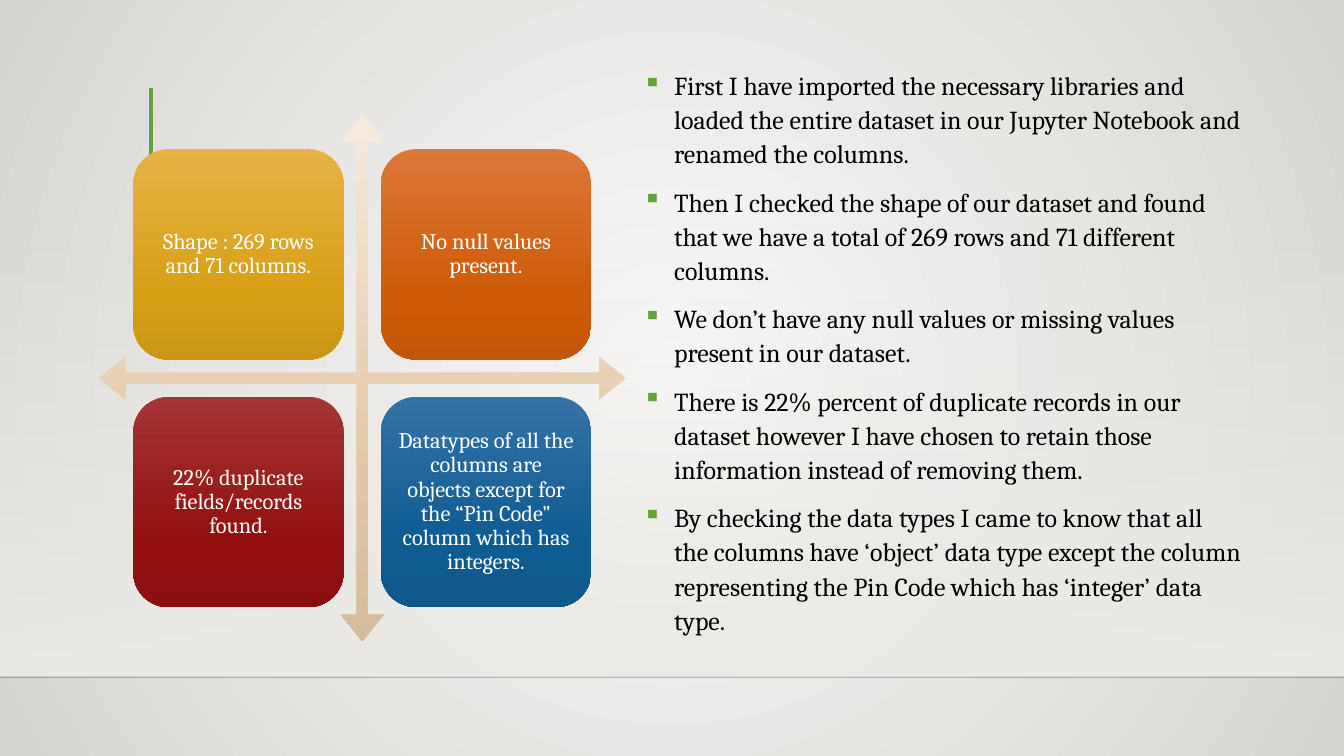
from dataclasses import dataclass

from lxml import etree
from pptx import Presentation
from pptx.dml.color import RGBColor
from pptx.enum.shapes import MSO_CONNECTOR, MSO_SHAPE
from pptx.enum.text import MSO_ANCHOR, PP_ALIGN
from pptx.oxml import parse_xml
from pptx.oxml.ns import nsdecls, qn
from pptx.util import Cm, Pt

COLORS = {
    "accent": "5FA534", "horizon": "000001", "body": "000000", "card_text": "FFFFFF",
    "glow": "FAFAF9", "edge": "D7D5D2", "wall": "EDEBE7",
    "arrow_light": "F7EBDC", "arrow_mid": "E2C7A4", "arrow_dark": "D4BD9E",
    "gold_light": "E6B445", "gold_mid": "D79F16", "gold_dark": "CA9616",
    "orange_light": "DC7739", "orange_mid": "CE5B08", "orange_dark": "C35707",
    "red_light": "A53535", "red_mid": "930F0F", "red_dark": "8B0F0F",
    "blue_light": "3572A5", "blue_mid": "0F5C93", "blue_dark": "0F588B",
}
FONT = "Cambria"
DOWNWARD = '<a:lin ang="5400000" scaled="0"/>'
FROM_CENTRE = ('<a:path path="circle"><a:fillToRect l="50000" t="50000" '
               'r="50000" b="50000"/></a:path>')
CARD_SIZE, CARD_PITCH = 5.3, 6.24
CARDS_LEFT, CARDS_TOP = 3.36, 3.76


@dataclass(frozen=True)
class Stop:
    percent: int
    color: str
    opacity: int = 100


@dataclass(frozen=True)
class Card:
    column: int
    row: int
    hue: str
    finding: str


@dataclass(frozen=True)
class Rule:
    start: tuple[float, float]
    end: tuple[float, float]
    color: str
    weight: float
    opacity: int = 100


CARDS = [
    Card(0, 0, "gold", "Shape : 269 rows and 71 columns."),
    Card(1, 0, "orange", "No null values present."),
    Card(0, 1, "red", "22% duplicate fields/records found."),
    Card(1, 1, "blue", "Datatypes of all the columns are objects except for "
                       "the “Pin Code\" column which has integers."),
]
RULES = [
    Rule((0, 17.07), (33.87, 17.07), "horizon", 1, 20),
    Rule((3.81, 2.21), (3.81, 5.18), "accent", 3),
]
STEPS = [
    "First I have imported the necessary libraries and loaded the entire dataset "
    "in our Jupyter Notebook and renamed the columns.",
    "Then I checked the shape of our dataset and found that we have a total of "
    "269 rows and 71 different columns.",
    "We don’t have any null values or missing values present in our dataset.",
    "There is 22% percent of duplicate records in our dataset however I have "
    "chosen to retain those information instead of removing them.",
    "By checking the data types I came to know that all the columns have ‘object’ "
    "data type except the column representing the Pin Code which has ‘integer’ "
    "data type.",
]


def set_attributes(target, values: dict) -> None:
    for name, value in values.items():
        setattr(target, name, value)


def style_font(font, size: float, color: str) -> None:
    set_attributes(font, {"name": FONT, "size": Pt(size)})
    font.color.rgb = RGBColor.from_string(COLORS[color])


def apply_gradient(fill, holder, stops: list[Stop], direction: str) -> None:
    """Replace the default gradient of a fill, found under holder, with these stops."""
    fill.gradient()
    default = next(holder.iter(qn("a:gradFill")))
    stop_xml = "".join(
        f'<a:gs pos="{stop.percent * 1000}"><a:srgbClr val="{COLORS[stop.color]}">'
        f'<a:alpha val="{stop.opacity * 1000}"/></a:srgbClr></a:gs>' for stop in stops)
    default.getparent().replace(default, parse_xml(
        f'<a:gradFill {nsdecls("a")} rotWithShape="1"><a:gsLst>{stop_xml}</a:gsLst>'
        f'{direction}</a:gradFill>'))


def three_tones(hue: str) -> list[Stop]:
    return [Stop(0, f"{hue}_light"), Stop(69, f"{hue}_mid"), Stop(100, f"{hue}_dark")]


def add_gradient_shape(slide, kind, left: float, top: float, width: float,
                       height: float, stops: list[Stop]):
    shape = slide.shapes.add_shape(kind, Cm(left), Cm(top), Cm(width), Cm(height))
    shape.shadow.inherit = False
    shape.line.fill.background()
    apply_gradient(shape.fill, shape._element.spPr, stops, DOWNWARD)
    return shape


def add_rule(slide, rule: Rule) -> None:
    line = slide.shapes.add_connector(
        MSO_CONNECTOR.STRAIGHT, *map(Cm, rule.start), *map(Cm, rule.end))
    line.line.width = Pt(rule.weight)
    line.line.color.rgb = RGBColor.from_string(COLORS[rule.color])
    properties = line._element.spPr
    if rule.opacity < 100:
        color = next(properties.iter(qn("a:srgbClr")))
        etree.SubElement(color, qn("a:alpha"), val=str(rule.opacity * 1000))
    etree.SubElement(properties, qn("a:effectLst"))


def add_card(slide, card: Card) -> None:
    shape = add_gradient_shape(
        slide, MSO_SHAPE.ROUNDED_RECTANGLE,
        CARDS_LEFT + card.column * CARD_PITCH, CARDS_TOP + card.row * CARD_PITCH,
        CARD_SIZE, CARD_SIZE, three_tones(card.hue))
    frame = shape.text_frame
    margins = {f"margin_{side}": Cm(0.17) for side in ("left", "top", "right", "bottom")}
    set_attributes(frame, {"word_wrap": True, "vertical_anchor": MSO_ANCHOR.MIDDLE} | margins)
    finding = frame.paragraphs[0]
    finding.text = card.finding
    set_attributes(finding, {"alignment": PP_ALIGN.CENTER, "line_spacing": 0.9})
    style_font(finding.font, 16, "card_text")


def add_bullet(paragraph) -> None:
    properties = paragraph._p.get_or_add_pPr()
    set_attributes_xml = {"marL": Cm(0.79), "indent": -Cm(0.79)}
    for name, value in set_attributes_xml.items():
        properties.set(name, str(int(value)))
    color = etree.SubElement(properties, qn("a:buClr"))
    etree.SubElement(color, qn("a:srgbClr"), val=COLORS["accent"])
    etree.SubElement(properties, qn("a:buChar"), char="▪")


def add_steps(slide) -> None:
    frame = slide.shapes.add_textbox(Cm(15.95), Cm(1.55), Cm(15.6), Cm(15.6)).text_frame
    frame.word_wrap = True
    for index, step in enumerate(STEPS):
        paragraph = frame.add_paragraph() if index else frame.paragraphs[0]
        paragraph.text = step
        add_bullet(paragraph)
        set_attributes(paragraph, {"line_spacing": 1.1,
                                   "space_before": Pt(10 if index else 0)})
        style_font(paragraph.font, 18.5, "body")


def main() -> None:
    presentation = Presentation()
    set_attributes(presentation, {"slide_width": Cm(33.87), "slide_height": Cm(19.05)})
    slide = presentation.slides.add_slide(presentation.slide_layouts[6])
    apply_gradient(slide.background.fill, slide._element,
                   [Stop(0, "glow"), Stop(100, "edge")], FROM_CENTRE)
    add_gradient_shape(slide, MSO_SHAPE.RECTANGLE, 0, 5.6, 33.87, 11.43,
                       [Stop(0, "wall", 0), Stop(100, "wall")])
    for rule in RULES:
        add_rule(slide, rule)
    add_steps(slide)
    cross = add_gradient_shape(slide, MSO_SHAPE.QUAD_ARROW, 2.5, 2.9, 13.26, 13.26,
                               three_tones("arrow"))
    for index, ratio in enumerate((0.02, 0.04, 0.05)):
        cross.adjustments[index] = ratio
    for card in CARDS:
        add_card(slide, card)
    presentation.save("out.pptx")


if __name__ == "__main__":
    main()
